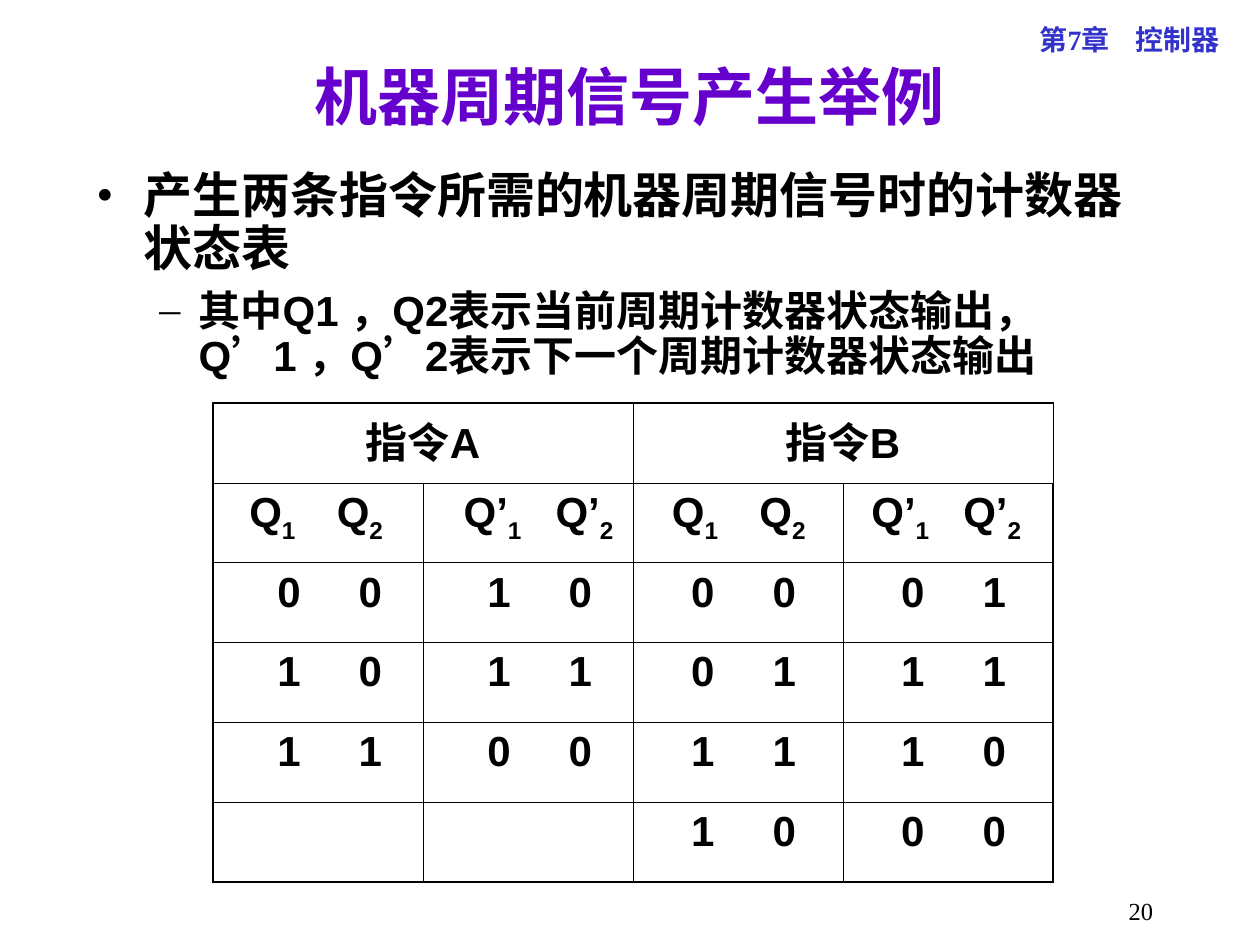
from lxml import etree
from pptx import Presentation
from pptx.dml.color import RGBColor
from pptx.enum.text import MSO_ANCHOR, PP_ALIGN
from pptx.oxml.ns import qn
from pptx.util import Pt

LEFT, CENTER, RIGHT = PP_ALIGN.LEFT, PP_ALIGN.CENTER, PP_ALIGN.RIGHT
MIDDLE = MSO_ANCHOR.MIDDLE
SERIF, SANS = "Times New Roman", "Arial"
COLORS = {"chapter": "3333CC", "title": "6600CC", "ink": "000000", "paper": "FFFFFF"}
THIN, THICK = 0.45, 1.08
BIT_GAP = 46.5

# Left edges of the two signal names in each column
NAME_STOPS = [(13.5, 63.5), (16, 68.5), (15, 65), (9, 61.5)]
NAMES = ["Q", "Q’", "Q", "Q’"]
# Left edge of the first bit in each column
BIT_STOPS = [29.5, 29.5, 26, 26]
STATES = [
    ["00", "10", "00", "01"],
    ["10", "11", "01", "11"],
    ["11", "00", "11", "10"],
    ["", "", "10", "00"],
]


def add_child(parent, tag, **attributes):
    return etree.SubElement(parent, qn(tag), attributes)


def add_span(para, text, size, font=SANS, color="ink", bold=True, baseline=0):
    span = para.add_run()
    span.text = text
    span.font.size = Pt(size)
    span.font.name = font
    span.font.bold = bold
    span.font.color.rgb = RGBColor.from_string(COLORS[color])
    if baseline:
        span.font._element.set("baseline", str(baseline))


def set_tabs(para, stops):
    tabs = add_child(para._p.get_or_add_pPr(), "a:tabLst")
    for stop in stops:
        add_child(tabs, "a:tab", pos=str(Pt(stop)), algn="l")


def add_box(page, left, top, width, height, align=LEFT):
    box = page.shapes.add_textbox(Pt(left), Pt(top), Pt(width), Pt(height))
    frame = box.text_frame
    frame.word_wrap = True
    frame.paragraphs[0].alignment = align
    return frame


def add_chapter_label(page, left, top, width, height):
    para = add_box(page, left, top, width, height).paragraphs[0]
    set_tabs(para, [55])
    add_span(para, "第7章\t控制器", 16, SERIF, "chapter")


def add_title(page, left, top, width, height):
    frame = add_box(page, left, top, width, height, CENTER)
    frame.vertical_anchor = MIDDLE
    add_span(frame.paragraphs[0], "机器周期信号产生举例", 36, SERIF, "title")


def add_bullet(para, mark, margin, hanging, space_after):
    properties = para._p.get_or_add_pPr()
    properties.set("marL", str(Pt(margin)))
    properties.set("indent", str(-Pt(hanging)))
    color = add_child(properties, "a:buClr")
    add_child(color, "a:srgbClr", val=COLORS["ink"])
    add_child(properties, "a:buFont", typeface=SERIF)
    add_child(properties, "a:buChar", char=mark)
    para.line_spacing = 0.9
    para.space_after = Pt(space_after)


def add_body(page, left, top, width, height):
    frame = add_box(page, left, top, width, height)
    main = frame.paragraphs[0]
    add_bullet(main, "•", 27, 27, 7)
    add_span(main, "产生两条指令所需的机器周期信号时的计数器状态表", 28, SERIF)
    detail = frame.add_paragraph()
    detail.level = 1
    add_bullet(detail, "–", 58.5, 22.5, 6)
    add_span(detail, "其中Q1 ，Q2表示当前周期计数器状态输出，"
                     "Q’1 ，Q’2表示下一个周期计数器状态输出", 24)


def style_cell(cell, row, column, last_row, last_column):
    """Border the cell, thick on the outside of the table, and fill it."""
    properties = cell._tc.get_or_add_tcPr()
    outer_sides = {"L": column == 0, "R": column == last_column,
                   "T": row == 0, "B": row == last_row}
    for side, outer in outer_sides.items():
        width = str(Pt(THICK if outer else THIN))
        line = add_child(properties, f"a:ln{side}", w=width)
        fill = add_child(line, "a:solidFill")
        add_child(fill, "a:srgbClr", val=COLORS["ink"])
    cell.fill.solid()
    cell.fill.fore_color.rgb = RGBColor.from_string(COLORS["paper"])


def add_state_table(page, left, top, width, height):
    rows, columns = len(STATES) + 2, len(NAMES)
    table = page.shapes.add_table(
        rows, columns, Pt(left), Pt(top), Pt(width), Pt(height)).table
    table.first_row = table.horz_banding = False
    for column in table.columns:
        column.width = Pt(width / columns)
    for row in table.rows:
        row.height = Pt(height / rows)
    for row in range(rows):
        for column in range(columns):
            style_cell(table.cell(row, column), row, column, rows - 1, columns - 1)

    for column, heading in ((0, "指令A"), (2, "指令B")):
        cell = table.cell(0, column)
        cell.merge(table.cell(0, column + 1))
        para = cell.text_frame.paragraphs[0]
        para.alignment = CENTER
        add_span(para, heading, 24)

    for column, (name, stops) in enumerate(zip(NAMES, NAME_STOPS)):
        para = table.cell(1, column).text_frame.paragraphs[0]
        set_tabs(para, stops)
        for index in "12":
            add_span(para, "\t" + name, 24)
            add_span(para, index, 24, baseline=-30000)

    for row, states in enumerate(STATES, start=2):
        for column, (bits, start) in enumerate(zip(states, BIT_STOPS)):
            if bits:
                para = table.cell(row, column).text_frame.paragraphs[0]
                set_tabs(para, [start, start + BIT_GAP])
                add_span(para, "".join("\t" + bit for bit in bits), 24)


def add_page_number(page, left, top, width, height):
    para = add_box(page, left, top, width, height, RIGHT).paragraphs[0]
    add_span(para, "20", 14, SERIF, bold=False)


def main():
    deck = Presentation()
    deck.slide_width, deck.slide_height = Pt(720), Pt(540)
    page = deck.slides.add_slide(deck.slide_layouts[6])
    add_chapter_label(page, 587, 9.5, 124.5, 26.5)
    add_title(page, 54, 26, 612, 57.5)
    add_body(page, 48, 94.5, 623.5, 142)
    add_state_table(page, 121.75, 230.4, 480, 273.6)
    add_page_number(page, 516, 508.5, 150, 20)
    deck.save("out.pptx")


if __name__ == "__main__":
    main()
